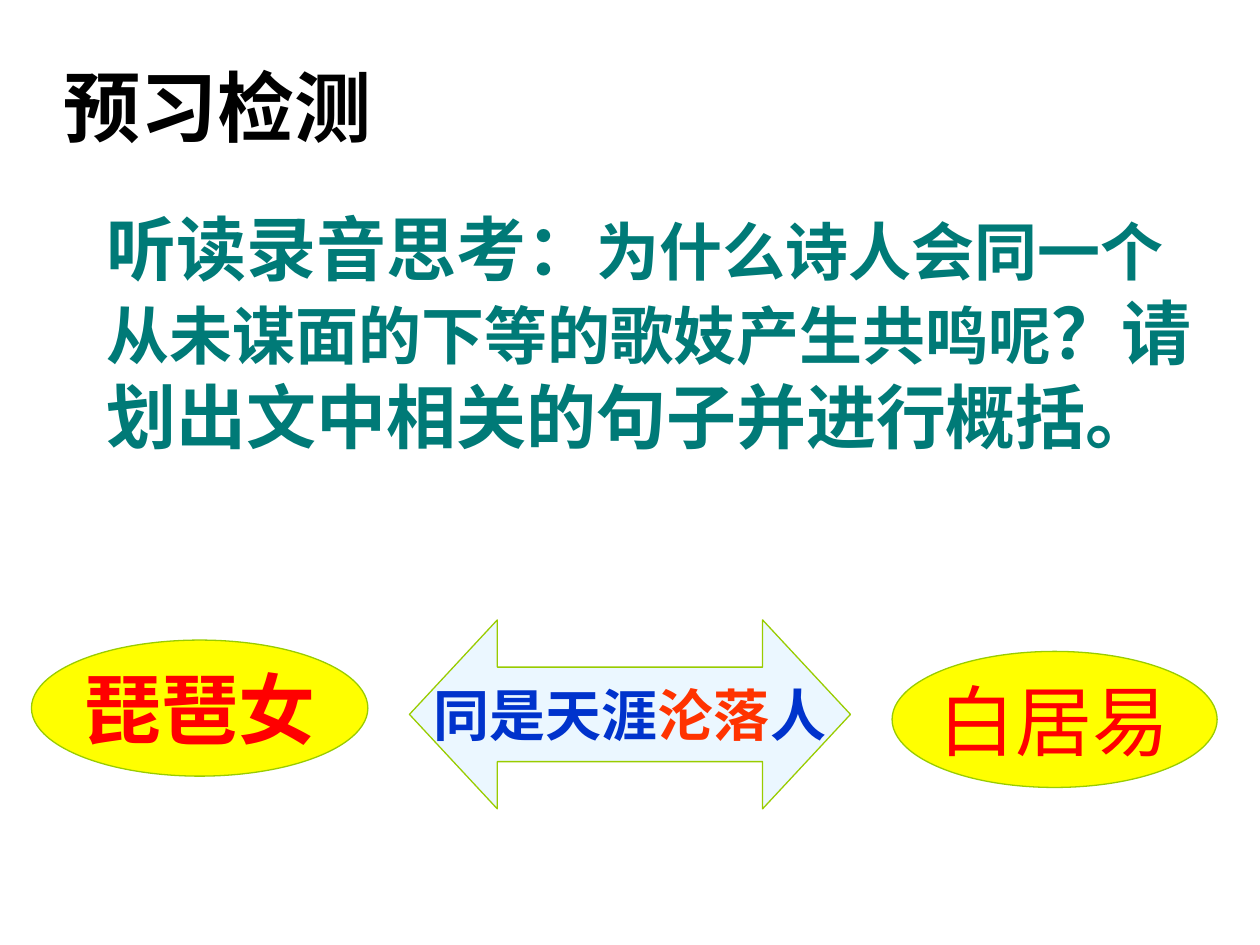
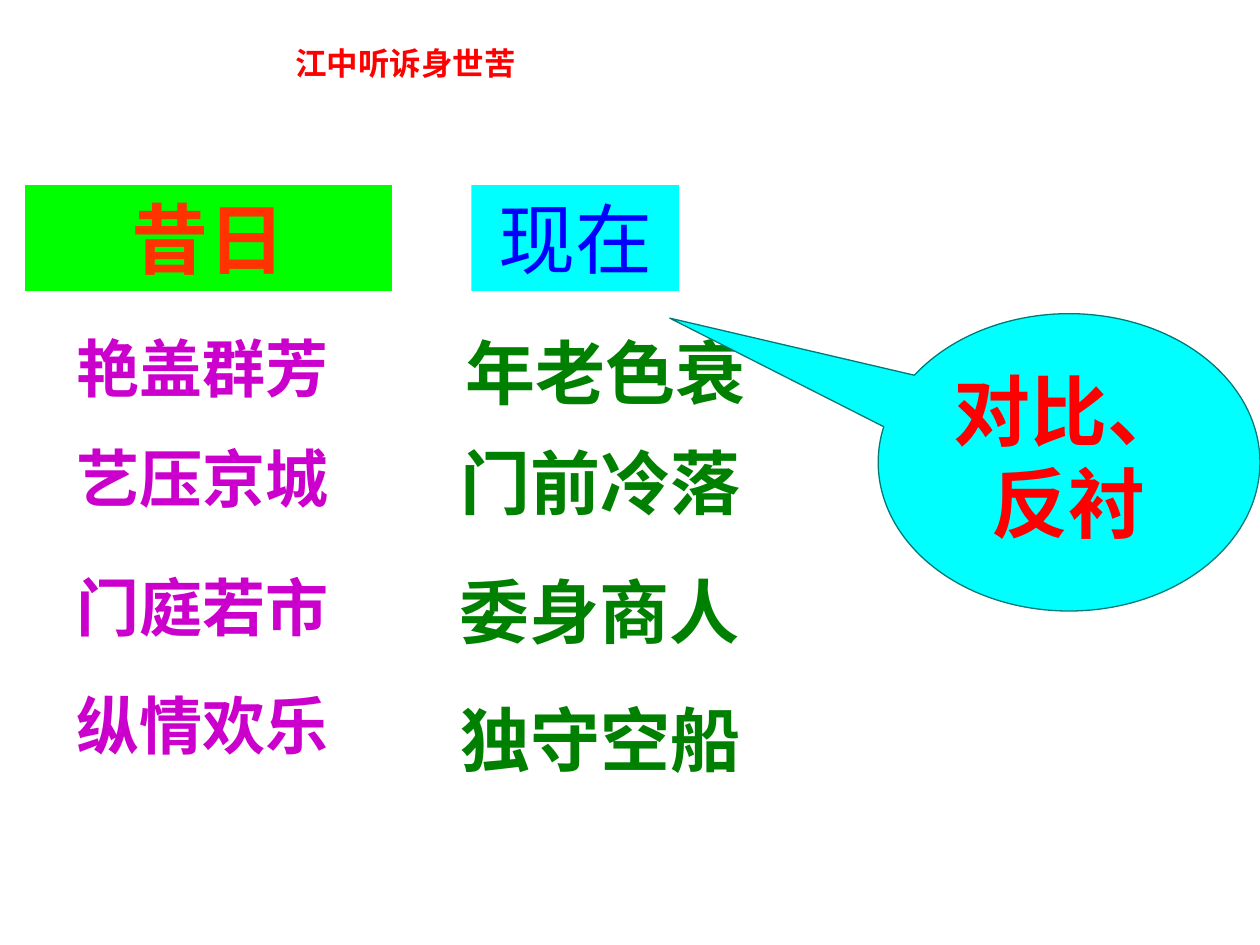
from pptx import Presentation as Deck
from pptx.dml.color import RGBColor as Rgb
from pptx.enum.shapes import MSO_SHAPE as Kind
from pptx.enum.text import MSO_ANCHOR as Anchor, PP_ALIGN as Align
from pptx.oxml.ns import qn
from pptx.util import Inches, Pt

# Shared look
HUE = {
    "black": "000000", "red": "FF0000", "orange": "FF3300", "teal": "007A77",
    "blue": "0000FF", "navy": "0033CC", "green": "008000", "purple": "CC00CC",
    "lime": "00FF00", "cyan": "00FFFF", "yellow": "FFFF00", "pale": "EBF7FF",
    "leaf": "99CC00",
}
BODY = "Arial"
HEAD = "Noto Sans CJK SC"


def color(name):
    return Rgb.from_string(HUE[name])


def write(shape, *runs, size=44, hue="red", bold=True, font=BODY,
          align=Align.CENTER, anchor=Anchor.TOP, wrap=True):
    """Fill a shape with runs: plain strings or (string, changes) pairs."""
    frame = shape.text_frame
    frame.word_wrap = wrap
    frame.vertical_anchor = anchor
    par = frame.paragraphs[0]
    par.alignment = align
    for item in runs:
        text, diff = (item, {}) if isinstance(item, str) else item
        run = par.add_run()
        run.text = text
        run.font.name = font
        run.font.size = Pt(diff.get("size", size))
        run.font.bold = bold
        run.font.color.rgb = color(diff.get("hue", hue))
        if font == HEAD:
            east = run.font._element.makeelement(qn("a:ea"), {"typeface": font})
            run.font._element.find(qn("a:latin")).addnext(east)


def label(slide, box, *runs, **style):
    write(slide.shapes.add_textbox(*map(Inches, box)), *runs, **style)


def title(slide, box, text, **style):
    label(slide, box, text, font=HEAD, **style)


def figure(slide, kind, box, fill, *runs, edge=None, adjust=(), **style):
    shape = slide.shapes.add_shape(kind, *map(Inches, box))
    shape.shadow.inherit = False
    for i, value in enumerate(adjust):
        shape.adjustments[i] = value
    shape.fill.solid()
    shape.fill.fore_color.rgb = color(fill)
    if edge:
        shape.line.color.rgb = color(edge)
        shape.line.width = Pt(0.75)
    else:
        shape.line.fill.background()
    write(shape, *runs, **style)


def preview(slide):
    title(slide, (0.38, 0.42, 2.7, 1.38), "预习检测", hue="black")

    # Two figures and the bond between them
    bond = dict(edge="leaf", anchor=Anchor.MIDDLE, wrap=False)
    figure(slide, Kind.OVAL, (0.25, 5.08, 2.67, 1.08), "yellow", "琵琶女", **bond)
    figure(slide, Kind.LEFT_RIGHT_ARROW, (3.25, 4.92, 3.5, 1.5), "pale",
           "同是天涯", ("沦落", {"hue": "orange"}), "人",
           size=32, hue="navy", adjust=(0.5, 0.465), **bond)
    figure(slide, Kind.OVAL, (7.08, 5.17, 2.58, 1.08), "yellow", "白居易",
           bold=False, **bond)

    # Question
    label(slide, (0.75, 1.58, 8.83, 3.12), "听读录音思考：",
          ("为什么诗人会同一个从未谋面的下等的歌妓产生共鸣呢", {"size": 36}),
          "？请划出文中相关的句子并进行概括。",
          size=40, hue="teal", align=Align.LEFT)


def contrast(slide):
    title(slide, (0.5, 0.3, 5.44, 1.01), "江中听诉身世苦", size=18)

    # Column heads
    figure(slide, Kind.RECTANGLE, (0.2, 1.47, 2.91, 0.84), "lime", "昔日",
           hue="orange")
    figure(slide, Kind.RECTANGLE, (3.74, 1.47, 1.65, 0.84), "cyan", "现在",
           hue="blue", bold=False)

    # Column entries: top, width, text
    now = [(2.57, 3.07, "年老色衰"), (3.44, 2.99, "门前冷落"),
           (4.46, 2.97, "委身商人"), (5.48, 2.99, "独守空船")]
    past = [(2.57, 2.6, "艳盖群芳"), (3.44, 2.68, "艺压京城"),
            (4.46, 3.07, "门庭若市"), (5.4, 2.52, "纵情欢乐")]
    for top, width, text in now:
        label(slide, (3.27, top, width, 0.77), text, size=40, hue="green")
    for top, width, text in past:
        label(slide, (0.51, top, width, 0.7), text, size=36, hue="purple",
              align=Align.LEFT)

    # Device named in the callout
    figure(slide, Kind.OVAL_CALLOUT, (6.97, 2.49, 3.03, 2.36), "cyan",
           "对比、反衬", edge="teal", adjust=(-1.046, -0.485))


def main():
    deck = Deck()
    deck.slide_width, deck.slide_height = Inches(10), Inches(7.5)
    for build in (preview, contrast):
        build(deck.slides.add_slide(deck.slide_layouts[6]))
    deck.save("out.pptx")


if __name__ == "__main__":
    main()
